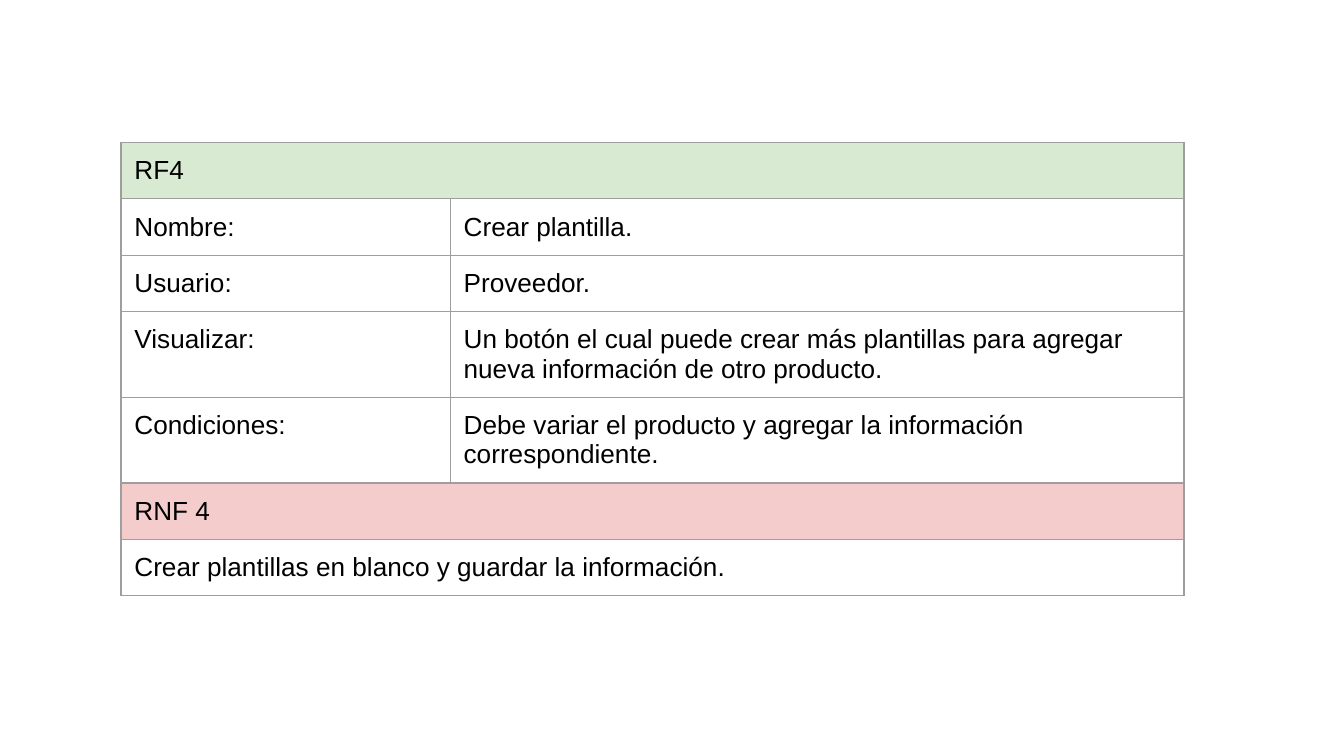
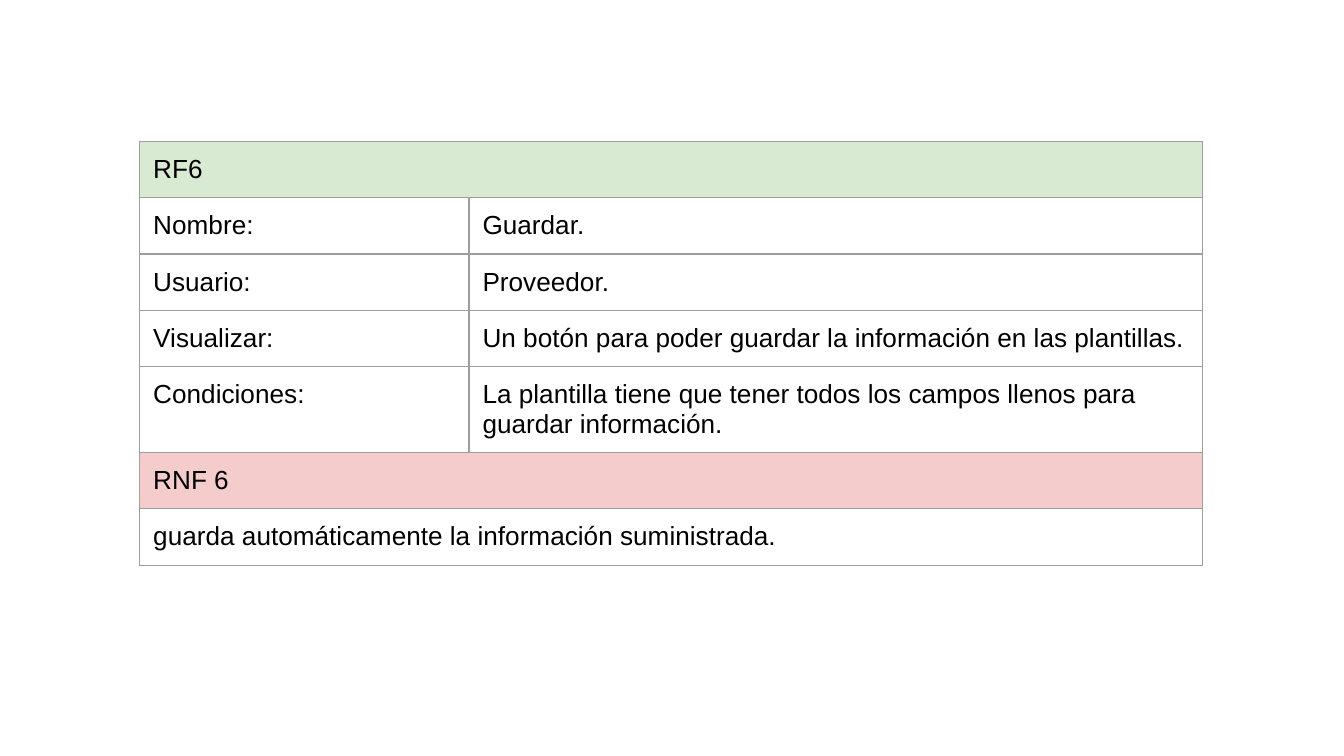
from lxml import etree
from pptx import Presentation
from pptx import util as u
from pptx.dml import color
from pptx.oxml import ns

LABELS = ("Nombre:", "Usuario:", "Visualizar:", "Condiciones:")
REQUIREMENTS = [
    {
        "at": (0.9, 1.06, 7.92, 3.5),
        "functional": "RF4",
        "details": (
            "Crear plantilla.",
            "Proveedor.",
            "Un botón el cual puede crear más plantillas para agregar "
            "nueva información de otro producto.",
            "Debe variar el producto y agregar la información correspondiente.",
        ),
        "non_functional": "RNF 4",
        "quality": "Crear plantillas en blanco y guardar la información.",
    },
    {
        "at": (1.04, 1.05, 7.92, 3.27),
        "functional": "RF6",
        "details": (
            "Guardar.",
            "Proveedor.",
            "Un botón para poder guardar la información en las plantillas.",
            "La plantilla tiene que tener todos los campos llenos para "
            "guardar información.",
        ),
        "non_functional": "RNF 6",
        "quality": "guarda automáticamente la información suministrada.",
    },
]


def rgb(value):
    return color.RGBColor.from_string(value)


class Deck:
    FONT = "Arial"
    SIZE = u.Pt(14)
    INK = "000000"
    GREEN = "D9EAD3"
    PINK = "F4CCCC"
    RULE = "9E9E9E"
    RULE_WIDTH = u.Pt(0.75)
    INSET = u.Inches(0.1)
    ROW_HEIGHT = u.Inches(0.42)
    COLUMNS = (u.Inches(2.45), u.Inches(5.46))

    def __init__(self):
        self.deck = Presentation()
        self.deck.slide_width = u.Inches(10)
        self.deck.slide_height = u.Inches(10 * 9 / 16)
        self.slide = None

    def new_slide(self):
        self.slide = self.deck.slides.add_slide(self.deck.slide_layouts[6])
        background = self.slide.background.fill
        background.solid()
        background.fore_color.rgb = rgb("FFFFFF")

    def borders(self, cell):
        properties = cell._tc.get_or_add_tcPr()
        for side in ("lnL", "lnR", "lnT", "lnB"):
            line = etree.SubElement(
                properties, ns.qn(f"a:{side}"), w=str(int(self.RULE_WIDTH))
            )
            fill = etree.SubElement(line, ns.qn("a:solidFill"))
            etree.SubElement(fill, ns.qn("a:srgbClr"), val=self.RULE)

    def cell(self, cell, words, fill):
        self.borders(cell)
        if fill:
            cell.fill.solid()
            cell.fill.fore_color.rgb = rgb(fill)
        else:
            cell.fill.background()
        cell.margin_left = cell.margin_right = self.INSET
        cell.margin_top = cell.margin_bottom = self.INSET
        if words:
            run = cell.text_frame.paragraphs[0].add_run()
            run.text = words
            run.font.name = self.FONT
            run.font.size = self.SIZE
            run.font.color.rgb = rgb(self.INK)

    def table(self, at, rows):
        left, top, width, height = map(u.Inches, at)
        frame = self.slide.shapes.add_table(
            len(rows), len(self.COLUMNS), left, top, width, height
        )
        grid = frame.table
        grid.first_row = grid.horz_banding = False
        for column, column_width in zip(grid.columns, self.COLUMNS):
            column.width = column_width
        for index, (label, detail, fill) in enumerate(rows):
            grid.rows[index].height = self.ROW_HEIGHT
            first, second = grid.cell(index, 0), grid.cell(index, 1)
            self.cell(first, label, fill)
            self.cell(second, detail, fill)
            if detail is None:
                first.merge(second)
        frame.width, frame.height = width, height

    def requirement(self, at, functional, details, non_functional, quality):
        self.new_slide()
        self.table(at, [
            (functional, None, self.GREEN),
            *((label, detail, None) for label, detail in zip(LABELS, details)),
            (non_functional, None, self.PINK),
            (quality, None, None),
        ])


def main():
    deck = Deck()
    for requirement in REQUIREMENTS:
        deck.requirement(**requirement)
    deck.deck.save("out.pptx")


if __name__ == "__main__":
    main()
